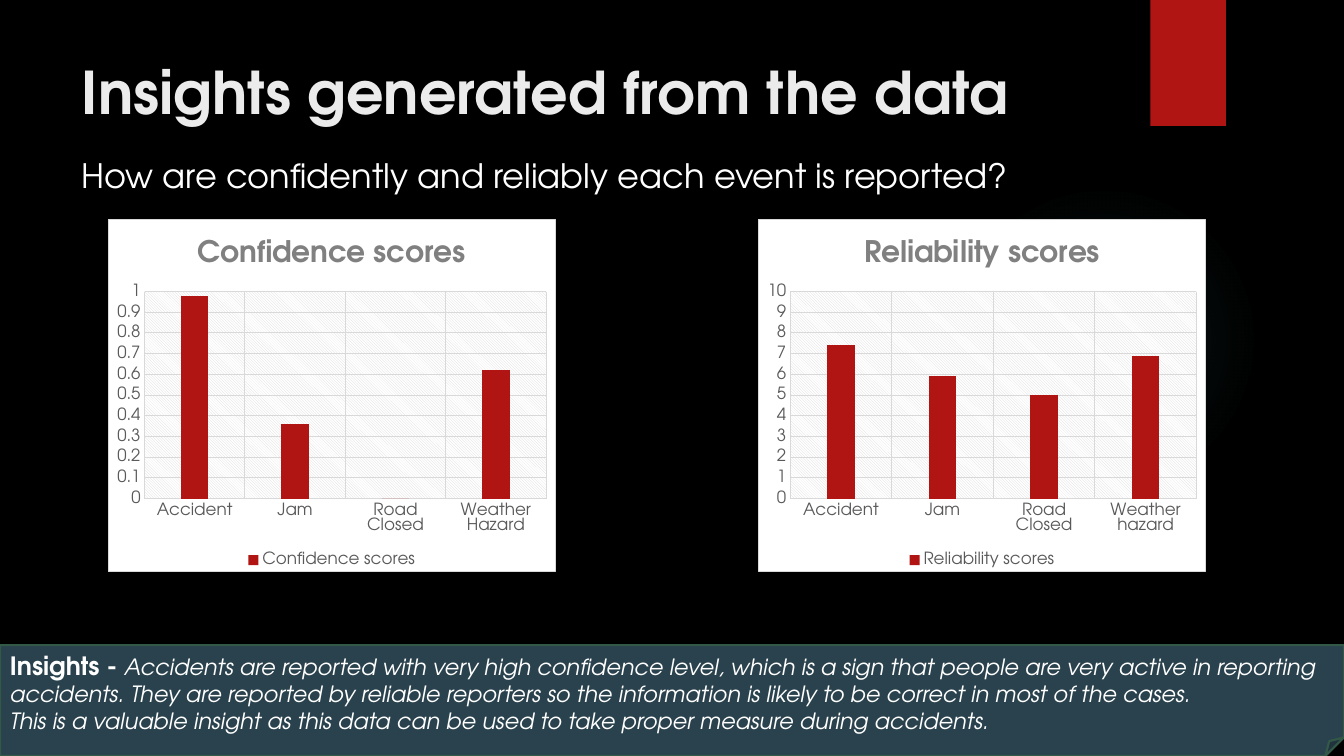
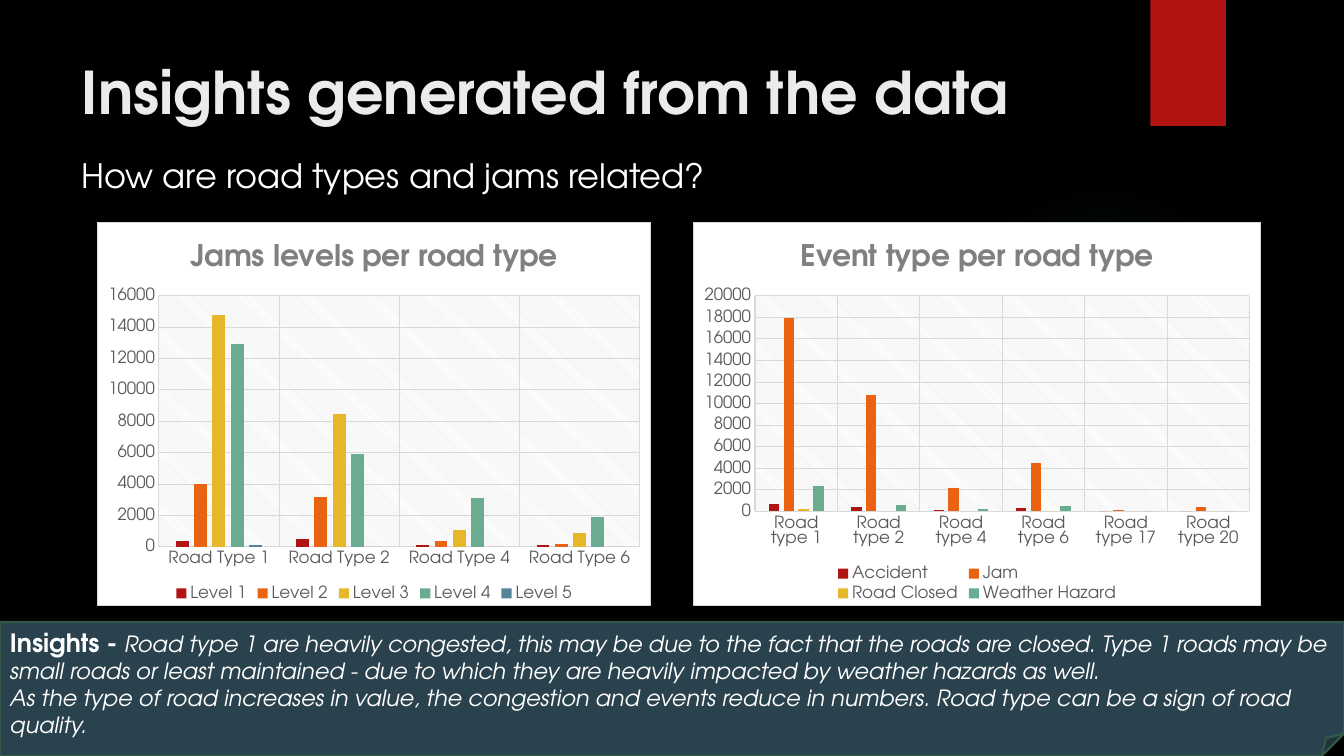
from dataclasses import dataclass
from typing import NamedTuple

from pptx import Presentation
from pptx.chart.data import CategoryChartData
from pptx.dml.color import RGBColor
from pptx.enum.chart import XL_CHART_TYPE, XL_LEGEND_POSITION, XL_TICK_MARK
from pptx.enum.shapes import MSO_SHAPE
from pptx.enum.text import MSO_ANCHOR, PP_ALIGN
from pptx.oxml import parse_xml
from pptx.oxml.ns import nsdecls, qn
from pptx.util import Inches, Pt


@dataclass(frozen=True)
class Theme:
    font: str = "TeX Gyre Adventor"
    background: str = "000000"
    accent: str = "B01513"
    glow: str = "50B9C1"
    title: str = "EBEBEB"
    text: str = "FFFFFF"
    note_fill: str = "2A424D"
    note_line: str = "325948"
    chart_fill: str = "FFFFFF"
    chart_title: str = "808080"
    chart_text: str = "595959"
    grid: str = "D9D9D9"
    series: tuple = ("B01513", "EA6312", "E6B729", "6AAC90", "54849A")
    title_size: float = 42
    question_size: float = 24
    chart_title_size: float = 21.3
    chart_text_size: float = 12
    note_label_size: float = 18
    note_size: float = 16


THEME = Theme()


class Box(NamedTuple):
    """A region of the slide, in inches."""
    left: float
    top: float
    width: float
    height: float

    def lengths(self):
        return tuple(Inches(value) for value in self)


class ChartContent(NamedTuple):
    title: str
    categories: tuple
    series: dict
    maximum: float | None = None


SLIDE = Box(0, 0, 13.33, 7.5)
TITLE = Box(0.71, 0.5, 10.29, 1.53)
QUESTION = Box(0.71, 1.49, 11.26, 0.5)
RIBBON = Box(11.41, 0, 0.75, 1.25)
GLOW = Box(9.41, 1.83, 3.08, 3.08)


def rgb(color):
    return RGBColor.from_string(color)


def style_font(font, size, color, bold=False, italic=False):
    font.name = THEME.font
    font.size = Pt(size)
    font.color.rgb = rgb(color)
    font.bold = bold
    font.italic = italic


def add_run(paragraph, text, size, color, **style):
    run = paragraph.add_run()
    run.text = text
    style_font(run.font, size, color, **style)


def add_plain_shape(slide, kind, box, fill):
    shape = slide.shapes.add_shape(kind, *box.lengths())
    shape.shadow.inherit = False
    shape.fill.solid()
    shape.fill.fore_color.rgb = rgb(fill)
    shape.line.fill.background()
    return shape


def add_glow(slide, box):
    """Place an ellipse that fades from its centre to nothing."""
    ellipse = add_plain_shape(slide, MSO_SHAPE.OVAL, box, THEME.glow)
    stops = "".join(
        f'<a:gs pos="{position * 1000}"><a:srgbClr val="{THEME.glow}">'
        f'<a:alpha val="{alpha * 1000}"/></a:srgbClr></a:gs>'
        for position, alpha in ((0, 7), (36, 6), (69, 0))
    )
    gradient = parse_xml(
        f'<a:gradFill {nsdecls("a")}><a:gsLst>{stops}</a:gsLst>'
        '<a:path path="circle"><a:fillToRect l="50000" t="50000" r="50000" b="50000"/>'
        "</a:path></a:gradFill>"
    )
    properties = ellipse.element.spPr
    properties.replace(properties.find(qn("a:solidFill")), gradient)


def place_title(slide, box, text):
    title = slide.shapes.title
    title.left, title.top, title.width, title.height = box.lengths()
    frame = title.text_frame
    frame.vertical_anchor = MSO_ANCHOR.TOP
    frame.word_wrap = True
    paragraph = frame.paragraphs[0]
    paragraph.alignment = PP_ALIGN.LEFT
    add_run(paragraph, text, THEME.title_size, THEME.title, bold=True)


def add_question(slide, box, text):
    frame = slide.shapes.add_textbox(*box.lengths()).text_frame
    frame.word_wrap = True
    add_run(frame.paragraphs[0], text, THEME.question_size, THEME.text)


def add_insights(slide, height, statements):
    """Place the full-width note that stands on the bottom edge."""
    box = Box(0, SLIDE.height - height, SLIDE.width, height)
    note = add_plain_shape(slide, MSO_SHAPE.FOLDED_CORNER, box, THEME.note_fill)
    note.line.color.rgb = rgb(THEME.note_line)
    note.line.width = Pt(1.5)
    frame = note.text_frame
    frame.word_wrap = True
    frame.vertical_anchor = MSO_ANCHOR.TOP
    for index, statement in enumerate(statements):
        paragraph = frame.add_paragraph() if index else frame.paragraphs[0]
        paragraph.alignment = PP_ALIGN.LEFT
        if index == 0:
            add_run(paragraph, "Insights - ", THEME.note_label_size, THEME.text, bold=True)
        add_run(paragraph, statement, THEME.note_size, THEME.text, italic=True)


def fill_chart_areas(chart):
    """Give the chart a plain framed ground and its plot a hatched one."""
    area = parse_xml(
        f'<c:spPr {nsdecls("c", "a")}>'
        f'<a:solidFill><a:srgbClr val="{THEME.chart_fill}"/></a:solidFill>'
        f'<a:ln w="{Pt(0.75)}"><a:solidFill><a:srgbClr val="{THEME.grid}"/></a:solidFill></a:ln>'
        "</c:spPr>"
    )
    hatch = parse_xml(
        f'<c:spPr {nsdecls("c", "a")}><a:pattFill prst="ltDnDiag">'
        f'<a:fgClr><a:srgbClr val="{THEME.grid}"/></a:fgClr>'
        f'<a:bgClr><a:srgbClr val="{THEME.chart_fill}"/></a:bgClr>'
        "</a:pattFill><a:ln><a:noFill/></a:ln></c:spPr>"
    )
    chart_element = chart.element.find(qn("c:chart"))
    chart_element.addnext(area)
    chart_element.find(qn("c:plotArea")).append(hatch)


def style_axis(axis):
    axis.major_tick_mark = axis.minor_tick_mark = XL_TICK_MARK.NONE
    axis.has_major_gridlines = True
    for line in (axis.major_gridlines.format.line, axis.format.line):
        line.color.rgb = rgb(THEME.grid)
        line.width = Pt(0.75)
    style_font(axis.tick_labels.font, THEME.chart_text_size, THEME.chart_text)


def add_column_chart(slide, box, content):
    data = CategoryChartData()
    data.categories = content.categories
    for name, values in content.series.items():
        data.add_series(name, values)
    chart = slide.shapes.add_chart(
        XL_CHART_TYPE.COLUMN_CLUSTERED, *box.lengths(), data
    ).chart
    style_font(chart.font, THEME.chart_text_size, THEME.chart_text)
    fill_chart_areas(chart)

    chart.has_title = True
    add_run(chart.chart_title.text_frame.paragraphs[0], content.title,
            THEME.chart_title_size, THEME.chart_title, bold=True)
    chart.has_legend = True
    chart.legend.position = XL_LEGEND_POSITION.BOTTOM
    chart.legend.include_in_layout = False
    style_font(chart.legend.font, THEME.chart_text_size, THEME.chart_text)

    style_axis(chart.category_axis)
    style_axis(chart.value_axis)
    chart.value_axis.format.line.fill.background()
    if content.maximum is not None:
        chart.value_axis.maximum_scale = content.maximum

    plot = chart.plots[0]
    plot.vary_by_categories = False
    plot.gap_width = 267
    plot.overlap = -43
    for series, color in zip(plot.series, THEME.series):
        series.format.fill.solid()
        series.format.fill.fore_color.rgb = rgb(color)


def add_insight_slide(presentation, question, charts, note_height, statements):
    slide = presentation.slides.add_slide(presentation.slide_layouts[5])
    add_glow(slide, GLOW)
    add_plain_shape(slide, MSO_SHAPE.RECTANGLE, RIBBON, THEME.accent)
    place_title(slide, TITLE, "Insights generated from the data")
    add_question(slide, QUESTION, question)
    for box, content in charts:
        add_column_chart(slide, box, content)
    add_insights(slide, note_height, statements)


def main():
    presentation = Presentation()
    presentation.slide_width = Inches(SLIDE.width)
    presentation.slide_height = Inches(SLIDE.height)
    background = presentation.slide_master.background.fill
    background.solid()
    background.fore_color.rgb = rgb(THEME.background)

    confidence = ChartContent(
        "Confidence scores",
        ("Accident", "Jam", "Road Closed", "Weather Hazard"),
        {"Confidence scores": (0.98, 0.36, 0, 0.62)},
        maximum=1,
    )
    reliability = ChartContent(
        "Reliability scores",
        ("Accident", "Jam", "Road Closed", "Weather hazard"),
        {"Reliability scores": (7.4, 5.9, 5, 6.9)},
        maximum=10,
    )
    add_insight_slide(
        presentation,
        "How are confidently and reliably each event is reported?",
        ((Box(1.07, 2.17, 4.44, 3.51), confidence),
         (Box(7.52, 2.17, 4.44, 3.51), reliability)),
        1.1,
        ("Accidents are reported with very high confidence level, which is a sign that "
         "people are very active in reporting accidents. They are reported by reliable "
         "reporters so the information is likely to be correct in most of the cases.",
         "This is a valuable insight as this data can be used to take proper measure "
         "during accidents."),
    )

    jam_levels = ChartContent(
        "Jams levels per road type",
        tuple(f"Road Type {number}" for number in (1, 2, 4, 6)),
        {
            "Level 1": (400, 500, 100, 100),
            "Level 2": (4000, 3200, 400, 200),
            "Level 3": (14800, 8500, 1100, 900),
            "Level 4": (12900, 5900, 3100, 1900),
            "Level 5": (100, 0, 0, 0),
        },
    )
    event_types = ChartContent(
        "Event type per road type",
        tuple(f"Road type {number}" for number in (1, 2, 4, 6, 17, 20)),
        {
            "Accident": (700, 400, 100, 300, 0, 0),
            "Jam": (17900, 10800, 2200, 4500, 100, 400),
            "Road Closed": (200, 0, 0, 0, 0, 0),
            "Weather Hazard": (2400, 600, 200, 500, 0, 0),
        },
    )
    add_insight_slide(
        presentation,
        "How are road types and jams related?",
        ((Box(0.96, 2.2, 5.5, 3.81), jam_levels),
         (Box(6.87, 2.2, 5.64, 3.81), event_types)),
        1.33,
        ("Road type 1 are heavily congested, this may be due to the fact that the roads "
         "are closed. Type 1 roads may be small roads or least maintained - due to which "
         "they are heavily impacted by weather hazards as well.",
         "As the type of road increases in value, the congestion and events reduce in "
         "numbers. Road type can be a sign of road quality."),
    )
    presentation.save("out.pptx")


if __name__ == "__main__":
    main()
